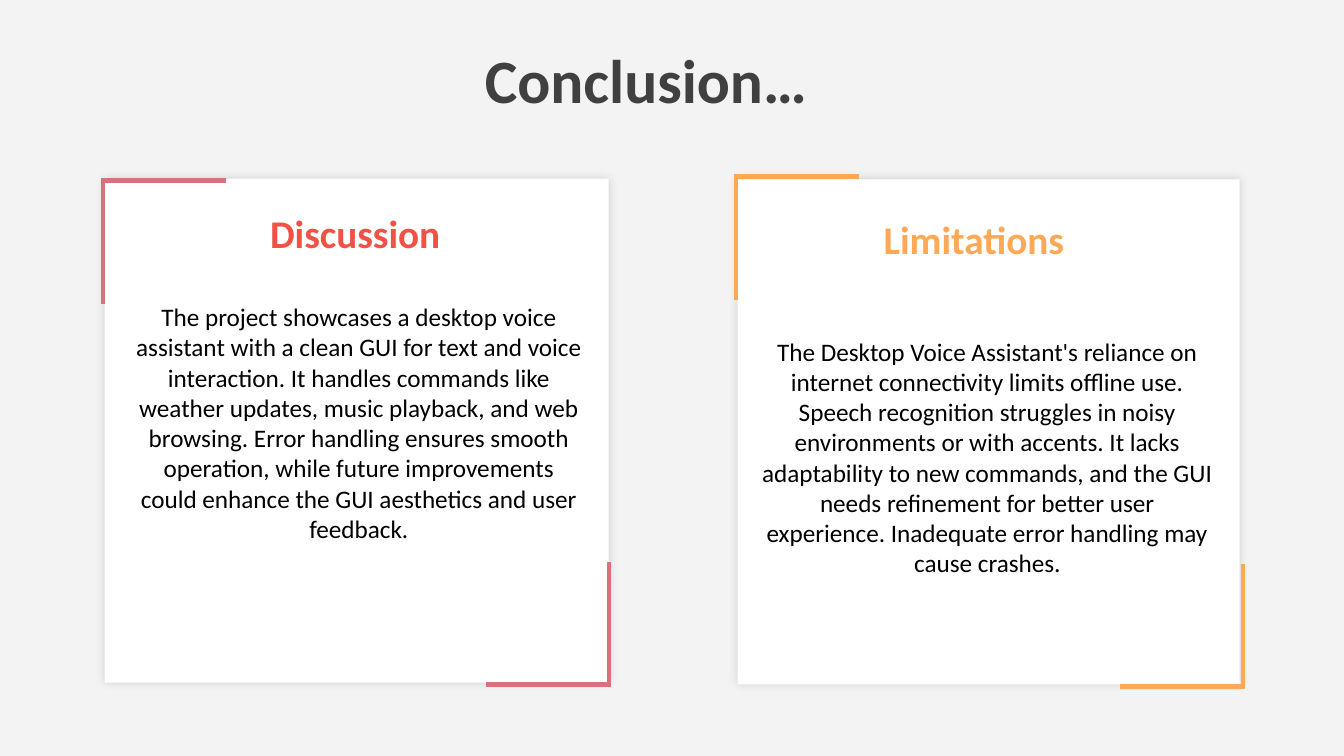
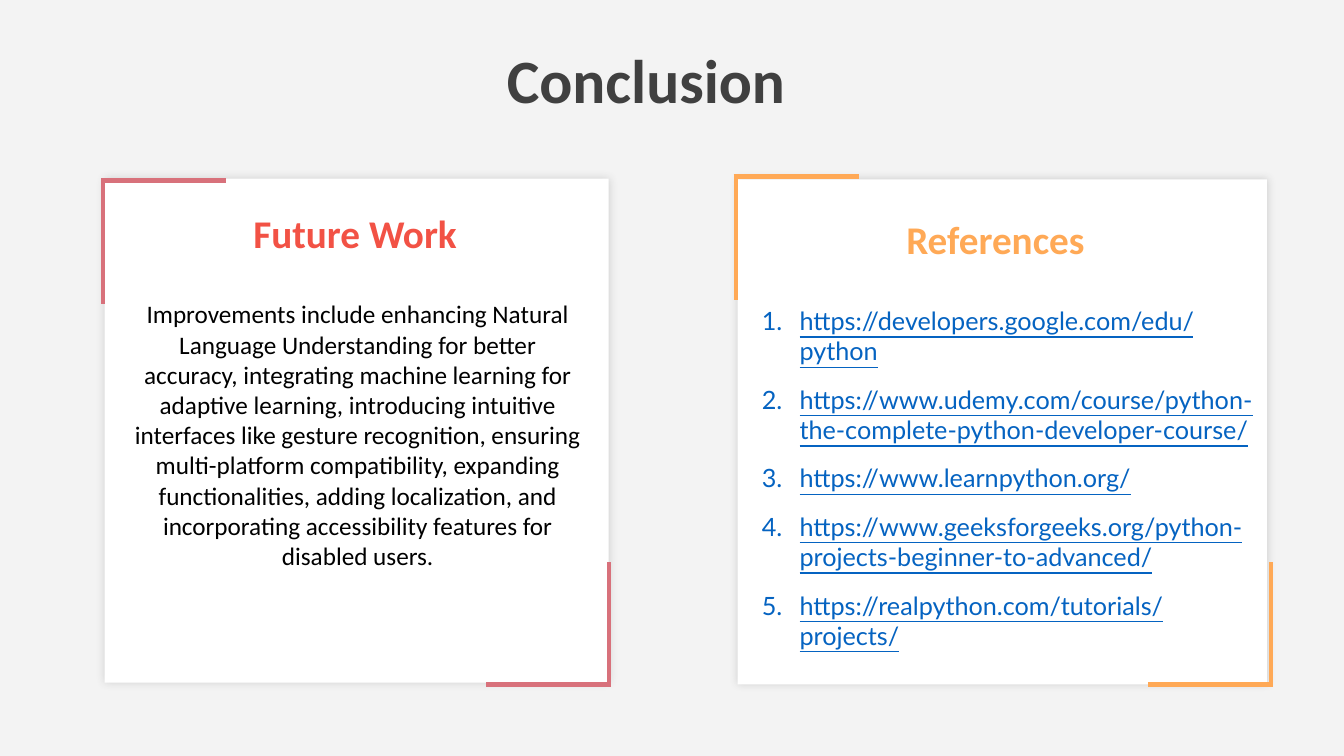
from dataclasses import dataclass

from lxml import etree
from pptx import Presentation
from pptx.dml.color import RGBColor
from pptx.enum.shapes import MSO_CONNECTOR, MSO_SHAPE
from pptx.enum.text import PP_ALIGN
from pptx.oxml.ns import qn
from pptx.util import Cm, Pt

RECTANGLE = MSO_SHAPE.RECTANGLE
STRAIGHT = MSO_CONNECTOR.STRAIGHT
CENTER = PP_ALIGN.CENTER
LEFT = PP_ALIGN.LEFT

# Shared look
BACKGROUND = "F3F3F3"
WHITE = "FFFFFF"
BLACK = "000000"
DARK = "404040"
RED = "F25245"
ROSE = "D8717B"
ORANGE = "FFA956"
LINK = "0563C1"
MAIN_FONT = "Calibri"
LINK_FONT = "Lato"
TITLE_BOX = (10.19, 0.94, 12.19, 2.13)
LEFT_CARD = (2.64, 4.5, 12.7, 12.7)
ARM = 3.1
HALF_LINE = 0.05
NUMBER_INDENT = 0.95


@dataclass
class Run:
    text: str
    size: int = 18
    color: str = BLACK
    font: str = MAIN_FONT
    bold: bool = False
    underline: bool = False


@dataclass
class Card:
    box: tuple        # left, top, width, height
    frame: tuple      # offsets of the corner lines from the four card edges
    heading: Run
    heading_box: tuple  # relative to the card
    body: list        # paragraphs, each a list of runs
    body_box: tuple   # relative to the card
    accent: str
    numbered: bool = False


def rgb(value):
    return RGBColor.from_string(value)


def add_text(slide, box, paragraphs, numbered=False):
    shape = slide.shapes.add_textbox(*(Cm(length) for length in box))
    text_frame = shape.text_frame
    text_frame.word_wrap = True
    for index, runs in enumerate(paragraphs):
        paragraph = text_frame.add_paragraph() if index else text_frame.paragraphs[0]
        paragraph.alignment = LEFT if numbered else CENTER
        if index:
            paragraph.space_before = Pt(13)
        if numbered:
            properties = paragraph._p.get_or_add_pPr()
            properties.set("marL", str(Cm(NUMBER_INDENT)))
            properties.set("indent", str(-Cm(NUMBER_INDENT)))
            etree.SubElement(properties, qn("a:buAutoNum"), type="arabicPeriod")
        for item in runs:
            run = paragraph.add_run()
            run.text = item.text
            run.font.size = Pt(item.size)
            run.font.name = item.font
            run.font.bold = item.bold
            run.font.underline = item.underline
            run.font.color.rgb = rgb(item.color)


def add_line(slide, start, end, color):
    connector = slide.shapes.add_connector(
        STRAIGHT, *(Cm(length) for length in start + end))
    connector.line.color.rgb = rgb(color)
    connector.line.width = Pt(3)
    etree.SubElement(connector._element.spPr, qn("a:effectLst"))


def add_panel(slide, box):
    shape = slide.shapes.add_shape(RECTANGLE, *(Cm(length) for length in box))
    shape.fill.solid()
    shape.fill.fore_color.rgb = rgb(WHITE)
    shape.line.fill.background()
    # Soft glow-like shadow around the panel
    shape.shadow.inherit = False
    effects = shape._element.spPr.find(qn("a:effectLst"))
    shadow = etree.SubElement(effects, qn("a:outerShdw"), blurRad=str(Pt(6)),
                              dist="0", dir="0", algn="ctr", rotWithShape="0")
    color = etree.SubElement(shadow, qn("a:srgbClr"), val=DARK)
    etree.SubElement(color, qn("a:alpha"), val="20000")


def add_corners(slide, left, top, right, bottom, color):
    # Top left corner points inwards with +1, bottom right with -1
    for x, y, sign in ((left, top, 1), (right, bottom, -1)):
        outer, inner = -sign * HALF_LINE, sign * ARM
        add_line(slide, (x, y + outer), (x, y + inner), color)
        add_line(slide, (x + outer, y), (x + inner, y), color)


def add_card(slide, card):
    left, top, width, height = card.box

    def inside(box):
        return (left + box[0], top + box[1], box[2], box[3])

    add_panel(slide, card.box)
    add_text(slide, inside(card.body_box), card.body, card.numbered)
    add_text(slide, inside(card.heading_box), [[card.heading]])
    edges = (left, top, left + width, top + height)
    corners = [edge + offset for edge, offset in zip(edges, card.frame)]
    add_corners(slide, *corners, card.accent)


def left_card(heading, text, body_box):
    return Card(LEFT_CARD, (-0.05, 0.05, 0, 0.05), Run(heading, 28, RED, bold=True),
                (0.71, 0.66, 11.2, 1.45), [[Run(text)]], body_box, ROSE)


def right_card(heading, width, frame_end, heading_width, body, body_box,
               numbered=False):
    return Card((18.59, 4.52, width, 12.73), (-0.05, -0.07) + frame_end,
                Run(heading, 28, ORANGE, bold=True),
                (0.36, 0.79, heading_width, 1.45), body, body_box, ORANGE, numbered)


def add_conclusion_slide(presentation, title, cards):
    slide = presentation.slides.add_slide(presentation.slide_layouts[6])
    slide.background.fill.solid()
    slide.background.fill.fore_color.rgb = rgb(BACKGROUND)
    for card in cards:
        add_card(slide, card)
    add_text(slide, TITLE_BOX, [[Run(title, 44, DARK, bold=True)]])


DISCUSSION = (
    "The project showcases a desktop voice assistant with a clean GUI for text and "
    "voice interaction. It handles commands like weather updates, music playback, "
    "and web browsing. Error handling ensures smooth operation, while future "
    "improvements could enhance the GUI aesthetics and user feedback.")
LIMITATIONS = (
    "The Desktop Voice Assistant's reliance on internet connectivity limits offline "
    "use. Speech recognition struggles in noisy environments or with accents. It "
    "lacks adaptability to new commands, and the GUI needs refinement for better "
    "user experience. Inadequate error handling may cause crashes")
FUTURE_WORK = (
    "Improvements include enhancing Natural Language Understanding for better "
    "accuracy, integrating machine learning for adaptive learning, introducing "
    "intuitive interfaces like gesture recognition, ensuring multi-platform "
    "compatibility, expanding functionalities, adding localization, and "
    "incorporating accessibility features for disabled users.")
REFERENCES = (
    "https://developers.google.com/edu/python",
    "https://www.udemy.com/course/python-the-complete-python-developer-course/",
    "https://www.learnpython.org/",
    "https://www.geeksforgeeks.org/python-projects-beginner-to-advanced/",
    "https://realpython.com/tutorials/projects/",
)


def main():
    presentation = Presentation()
    presentation.slide_width = Cm(33.87)
    presentation.slide_height = Cm(19.05)

    limitations = [[Run(LIMITATIONS), Run(".", color="0D0D0D", font=LINK_FONT)]]
    add_conclusion_slide(presentation, "Conclusion…", (
        left_card("Discussion", DISCUSSION, (0.46, 2.97, 11.89, 6.4)),
        right_card("Limitations", 12.65, (0.08, 0.05), 11.18, limitations,
                   (0.36, 3.82, 11.86, 6.4)),
    ))

    references = [[Run(address, color=LINK, font=LINK_FONT, underline=True)]
                  for address in REFERENCES]
    add_conclusion_slide(presentation, "Conclusion", (
        left_card("Future Work", FUTURE_WORK, (0.43, 2.9, 11.89, 7.19)),
        right_card("References", 13.34, (0.1, 0), 12.27, references,
                   (0.36, 3.05, 13.03, 8), numbered=True),
    ))

    presentation.save("out.pptx")


if __name__ == "__main__":
    main()
